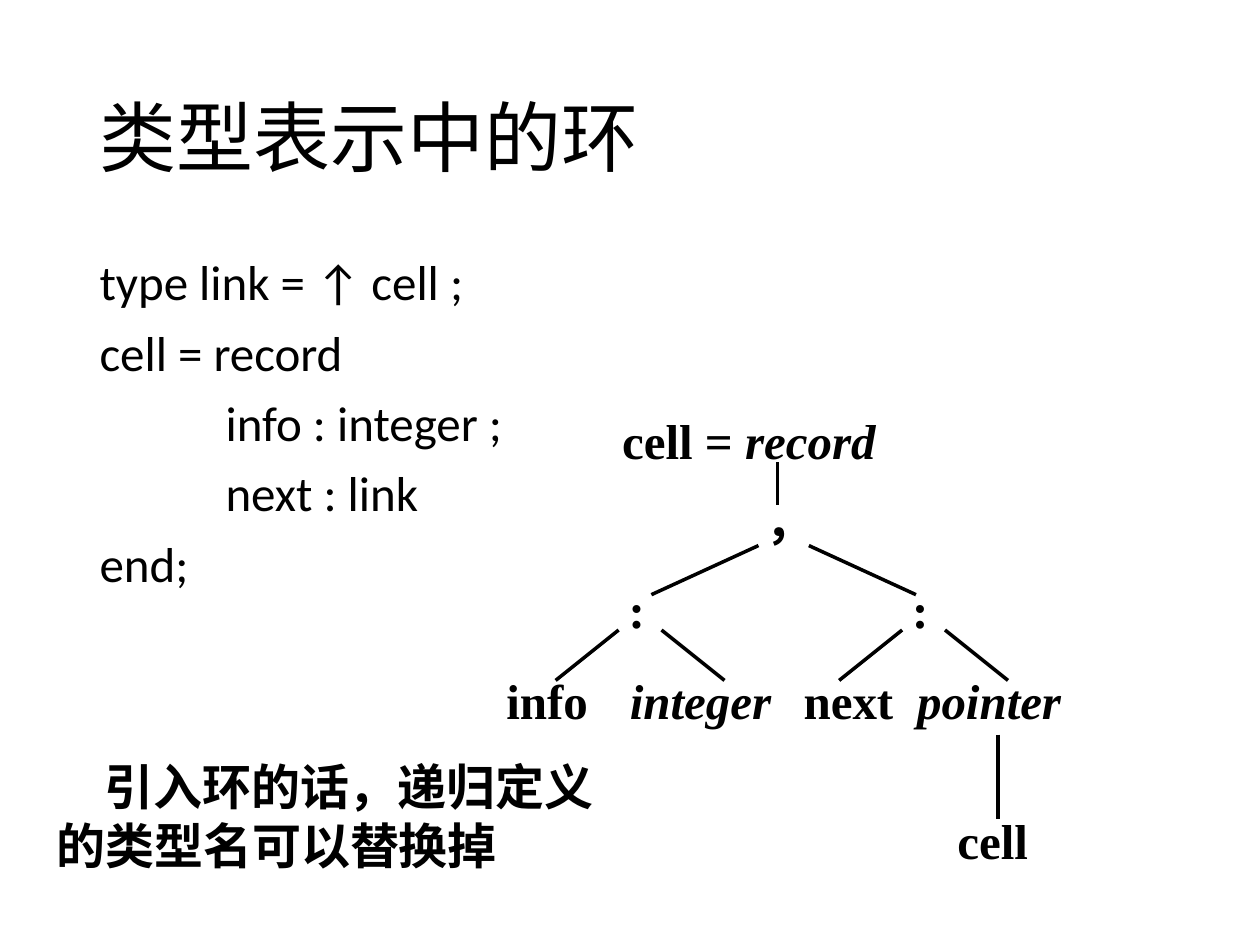
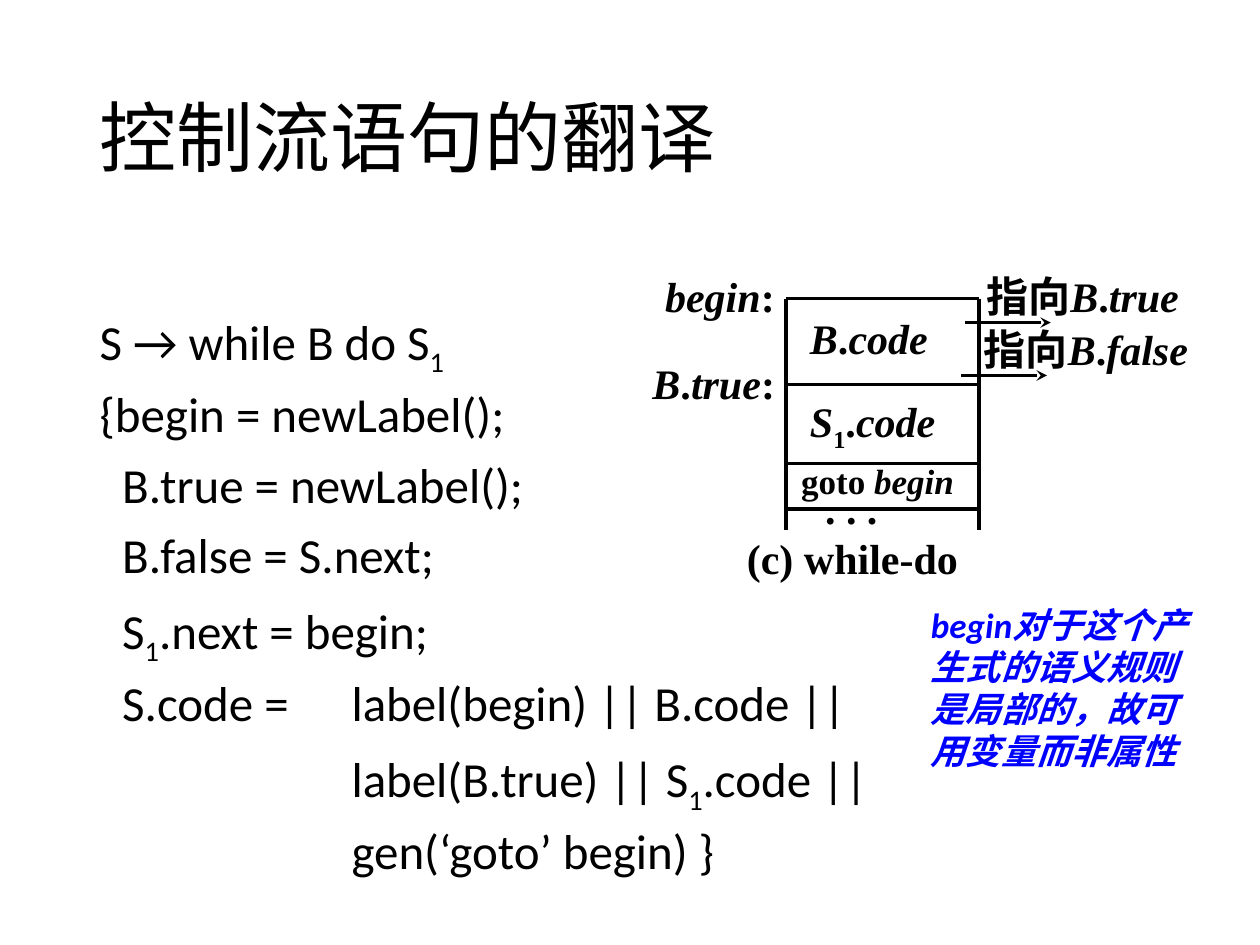
import pptx
import pptx.dml.color
import pptx.enum.shapes
import pptx.enum.text
import pptx.oxml
import pptx.oxml.ns
import pptx.util

COLORS = {"ink": "000000", "note": "0000FF"}
SANS, SERIF = "Calibri", "Times New Roman"
COLS, ROWS = 10, 7.5
CELL = pptx.util.Inches(1)
SNUG = (0.1, 0.01, 0.02, 0.01)
LOOSE = (0.1, 0.05, 0.1, 0.05)
MID = pptx.enum.text.MSO_ANCHOR.MIDDLE
TOP = pptx.enum.text.MSO_ANCHOR.TOP


def grid(*spots):
    """Turn grid columns or rows into slide lengths."""
    return [round(spot * CELL) for spot in spots]


def add_run(para, words, size, font, color, bold, italic, sub):
    """Add one formatted run to a paragraph."""
    run = para.add_run()
    run.text = words
    run.font.size = pptx.util.Pt(size)
    run.font.name = font
    run.font.bold = bold
    run.font.italic = italic
    run.font.color.rgb = pptx.dml.color.RGBColor.from_string(COLORS[color])
    if sub:
        run._r.get_or_add_rPr().set("baseline", "-25000")


def write(shape, lines, size=28, font=SERIF, color="ink", bold=True, slant=False,
          pad=LOOSE, anchor=TOP, lead=None, gap=0):
    """Fill a shape with (text, margin, indent) lines; *x* flips italics, ~x~ lowers."""
    frame = shape.text_frame
    frame.word_wrap = True
    frame.auto_size = pptx.enum.text.MSO_AUTO_SIZE.NONE
    frame.vertical_anchor = anchor
    (frame.margin_left, frame.margin_top,
     frame.margin_right, frame.margin_bottom) = grid(*pad)
    for row, (words, left, first) in enumerate(lines):
        para = frame.add_paragraph() if row else frame.paragraphs[0]
        para.alignment = pptx.enum.text.PP_ALIGN.LEFT
        para.space_before = pptx.util.Pt(gap)
        para.line_spacing = lead
        props = para._p.get_or_add_pPr()
        props.set("marL", str(grid(left)[0]))
        props.set("indent", str(grid(first)[0]))
        props.append(pptx.oxml.parse_xml(
            "<a:buNone %s/>" % pptx.oxml.ns.nsdecls("a")))
        for turn, part in enumerate(words.split("*")):
            for step, piece in enumerate(part.split("~")):
                if piece:
                    add_run(para, piece, size, font, color, bold,
                            slant != bool(turn % 2), bool(step % 2))


def label(slide, box, *lines, **style):
    """Add a text box holding plain strings or (text, margin, indent) lines."""
    rows = [(line, 0, 0) if isinstance(line, str) else line for line in lines]
    write(slide.shapes.add_textbox(*grid(*box)), rows, **style)


def line(slide, start, end, arrow=False):
    """Draw a straight line, with a stealth head when asked."""
    kind = pptx.enum.shapes.MSO_CONNECTOR.STRAIGHT
    link = slide.shapes.add_connector(kind, *grid(*start, *end))
    link.line.width = pptx.util.Pt(2)
    link.line.color.rgb = pptx.dml.color.RGBColor.from_string(COLORS["ink"])
    space = pptx.oxml.ns.nsdecls("a")
    if arrow:
        link.line._get_or_add_ln().append(
            pptx.oxml.parse_xml('<a:tailEnd %s type="stealth"/>' % space))
    link._element.spPr.append(pptx.oxml.parse_xml("<a:effectLst %s/>" % space))


def fork(slide, mid, top, near, far, drop):
    """Draw two branches that spread evenly from a tree node."""
    for side in (-1, 1):
        line(slide, (mid + side * near, top), (mid + side * far, top + drop))


def new_slide(deck, title, top, tall, code):
    """Add a slide with the shared title style and a code listing."""
    slide = deck.slides.add_slide(deck.slide_layouts[1])
    head, body = slide.placeholders
    for part, y, high in ((head, 0.4, 1.45), (body, top, tall)):
        part.left, part.top, part.width, part.height = grid(0.69, y, 8.62, high)
    write(head, [(title, 0, 0)], size=44, font=SANS, bold=False,
          anchor=MID, lead=0.9)
    write(body, code, font=SANS, bold=False, lead=0.9, gap=10)
    return slide


def type_tree(deck):
    """Build the slide on cycles in type representations."""
    slide = new_slide(deck, "类型表示中的环", 2, 4.76, [
        ("type link = ↑ cell ;", 0, 0), ("cell = record", 0, 0),
        ("info : integer ;", 1, 0), ("next : link", 1, 0), ("end;", 0, 0)])
    for words, x, y, wide in (
            ("cell = *record*", 4.84, 3.25, 2.3), ("，", 5.98, 3.88, 0.7),
            (":", 4.89, 4.59, 0.7), (":", 7.14, 4.59, 0.7),
            ("info", 3.92, 5.31, 1), ("*integer*", 4.9, 5.31, 1.35),
            ("next", 6.28, 5.31, 1), ("*pointer*", 7.18, 5.31, 1.82),
            ("cell", 7.5, 6.42, 0.91)):
        label(slide, (x, y, wide, 0.43), words, pad=SNUG)
    line(slide, (6.17, 3.67), (6.17, 4.01))
    line(slide, (7.92, 5.83), (7.92, 6.5))
    fork(slide, 6.22, 4.33, 0.2, 1.05, 0.39)
    for mid in (5.08, 7.33):
        fork(slide, mid, 5, 0.17, 0.67, 0.4)
    label(slide, (0.35, 5.88, 4.65, 1.18), ("引入环的话，递归定义", 0, 0.38),
          "的类型名可以替换掉", anchor=MID)


def while_flow(deck):
    """Build the slide on translating control flow statements."""
    step = 0.18
    slide = new_slide(deck, "控制流语句的翻译", 2.43, 4.58, [
        ("S → while B do S~1~", 0, 0), ("{begin = newLabel();", 0, 0),
        ("B.true = newLabel();", step, 0), ("B.false = S.next;", step, 0),
        ("S~1~.next = begin;", step, 0),
        ("S.code =\tlabel(begin) || B.code ||", 2, step - 2),
        ("label(B.true) || S~1~.code ||", 2, 0), ("gen(‘goto’ begin) }", 2, 0)])
    left, right, top, base = 6.24, 7.77, 2.37, 4.21
    for x in (left, right):
        line(slide, (x, top), (x, base))
    for y in (top, 3.05, 3.68, 4.04):
        line(slide, (left, y), (right, y))
    for x, y in ((7.66, 2.56), (7.63, 2.98)):
        line(slide, (x, y), (x + 0.68, y), arrow=True)
    for words, x, y, wide in (
            ("*B*.*code*", 6.33, 2.43, 1.22), ("*S*~1~.*code*", 6.33, 3.09, 1.33),
            ("*begin*:", 5.18, 2.1, 1.32), ("*B*.*true*:", 5.08, 2.79, 1.28),
            (". . .", 6.45, 3.78, 1.07), ("指向*B*.*true*", 7.73, 2.1, 1.85),
            ("指向*B*.*false*", 7.71, 2.52, 1.96),
            ("(c) while-do", 5.83, 4.18, 2.17)):
        label(slide, (x, y, wide, 0.5), words, size=24)
    label(slide, (6.26, 3.6, 1.84, 0.5), "goto *begin*", size=20)
    label(slide, (7.29, 4.74, 2.29, 1.45),
          "begin对于这个产生式的语义规则是局部的，故可用变量而非属性",
          size=20, font=SANS, color="note", slant=True)


def main():
    """Build and save the deck."""
    deck = pptx.Presentation()
    deck.slide_width, deck.slide_height = grid(COLS, ROWS)
    type_tree(deck)
    while_flow(deck)
    deck.save("out.pptx")


if __name__ == "__main__":
    main()
